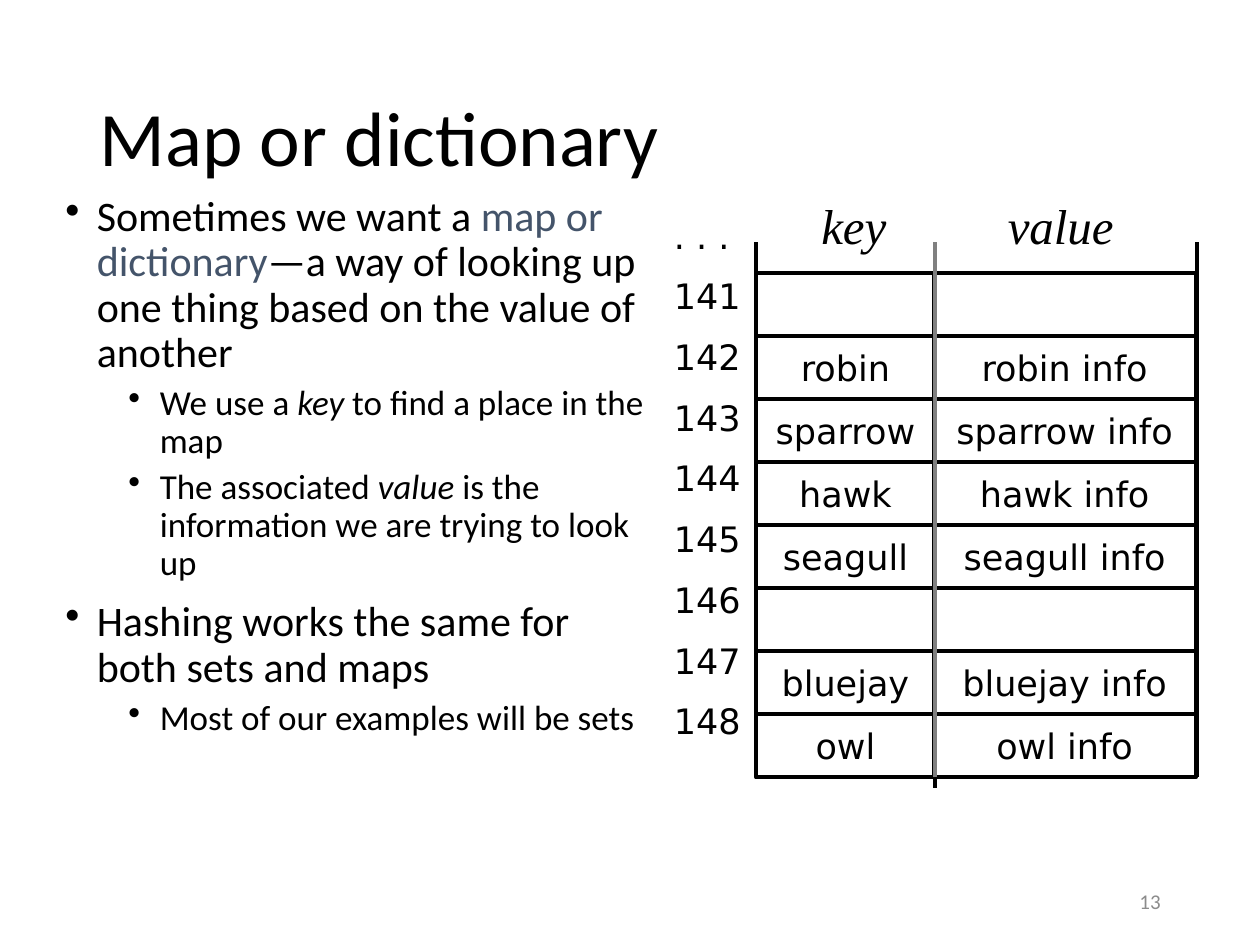
"""Build a slide explaining maps, with a key and value hash table."""
from lxml import etree
from pptx import Presentation
from pptx.dml.color import RGBColor
from pptx.enum.shapes import MSO_CONNECTOR, MSO_SHAPE
from pptx.enum.text import MSO_ANCHOR, PP_ALIGN
from pptx.oxml.ns import qn
from pptx.util import Inches, Pt

PROCESS = MSO_SHAPE.FLOWCHART_PROCESS
STRAIGHT = MSO_CONNECTOR.STRAIGHT
MIDDLE = MSO_ANCHOR.MIDDLE
LEFT, CENTER, RIGHT = PP_ALIGN.LEFT, PP_ALIGN.CENTER, PP_ALIGN.RIGHT
BLACK, SLATE, GRAY, PAGE_GRAY = "000000", "44546A", "808080", "8C8C8C"
SANS, MONO_LABEL, SERIF = "Calibri", "DejaVu Sans", "Times New Roman"


def color(hex_value):
    return RGBColor.from_string(hex_value)


def style(paragraph, size, font, hex_value=BLACK, align=LEFT):
    paragraph.alignment = align
    for run in paragraph.runs:
        run.font.size = Pt(size)
        run.font.name = font
        run.font.color.rgb = color(hex_value)


prs = Presentation()
prs.slide_width, prs.slide_height = Inches(10), Inches(7.5)
slide = prs.slides.add_slide(prs.slide_layouts[6])
shapes = slide.shapes

labels = [
    ("Map or dictionary", 0.69, 0.4, 8.62, 1.45, 44, SANS, BLACK, LEFT),
    ("13", 7.06, 6.95, 2.25, 0.4, 12, SANS, PAGE_GRAY, RIGHT),
    ("key", 6.42, 1.5, 1, 0.57, 28, SERIF, BLACK, LEFT),
    ("value", 7.9, 1.5, 1.6, 0.57, 28, SERIF, BLACK, LEFT),
]
for text, left, top, width, height, size, font, hex_value, align in labels:
    label = shapes.add_textbox(Inches(left), Inches(top), Inches(width), Inches(height)).text_frame
    label.word_wrap = True
    label.vertical_anchor = MIDDLE
    label.text = text
    style(label.paragraphs[0], size, font, hex_value, align)
    label.paragraphs[0].runs[0].font.italic = font == SERIF
    if size == 44:
        label.paragraphs[0].line_spacing = 0.9

points = [
    (0, ["Sometimes we want a ", "map or dictionary",
         "—a way of looking up one thing based on the value of another"]),
    (1, ["We use a ", "key", " to find a place in the map"]),
    (1, ["The associated ", "value", " is the information we are trying to look up"]),
    (0, ["Hashing works the same for both sets and maps"]),
    (1, ["Most of our examples will be sets"]),
]
body = shapes.add_textbox(Inches(0.42), Inches(1.5), Inches(4.83), Inches(5.5)).text_frame
body.word_wrap = True
for index, (level, pieces) in enumerate(points):
    point = body.add_paragraph() if index else body.paragraphs[0]
    for piece in pieces:
        point.add_run().text = piece
    style(point, 20 if level else 24, SANS)
    if len(pieces) > 1:
        emphasis = point.runs[1].font
        if level:
            emphasis.italic = True
        else:
            emphasis.color.rgb = color(SLATE)
    point.level = level
    point.line_spacing = 0.9
    point.space_before = Pt(5 if level else 10)
    properties = point._p.get_or_add_pPr()
    properties.set("marL", str(Inches(0.25 + 0.5 * level)))
    properties.set("indent", str(Inches(-0.25)))
    etree.SubElement(properties, qn("a:buChar")).set("char", "•")

addresses = shapes.add_textbox(Inches(5.25), Inches(1.65), Inches(0.75), Inches(5.02)).text_frame
addresses.word_wrap = True
addresses.text = "\n".join([". . ."] + [str(number) for number in range(141, 149)])
for address in addresses.paragraphs:
    style(address, 20, MONO_LABEL)
    address.space_before = Pt(10.7)

birds = ["", "robin", "sparrow", "hawk", "seagull", "", "bluejay", "owl"]
columns = [
    (6, 1.42, birds),
    (7.41, 2.08, [bird and f"{bird} info" for bird in birds]),
]
for left, width, entries in columns:
    for row, entry in enumerate(entries):
        cell = shapes.add_shape(PROCESS, Inches(left), Inches(2.17 + 0.5 * row),
                                Inches(width), Inches(0.5))
        cell.shadow.inherit = False
        cell.fill.background()
        cell.line.color.rgb = color(BLACK)
        cell.line.width = Pt(2.25)
        if entry:
            cell.text_frame.text = entry
            cell.text_frame.word_wrap = False
            cell.text_frame.vertical_anchor = MIDDLE
            style(cell.text_frame.paragraphs[0], 20, MONO_LABEL, align=CENTER)

edges = [(6, 6.17, 1.92, BLACK), (7.42, 6.25, 2, BLACK),
         (7.42, 6.17, 1.92, GRAY), (9.5, 6.17, 1.92, BLACK)]
for x, bottom, top, hex_value in edges:
    edge = shapes.add_connector(STRAIGHT, Inches(x), Inches(bottom), Inches(x), Inches(top))
    edge.line.color.rgb = color(hex_value)
    edge.line.width = Pt(2.25)
    etree.SubElement(edge._element.spPr, qn("a:effectLst"))

prs.save("out.pptx")
